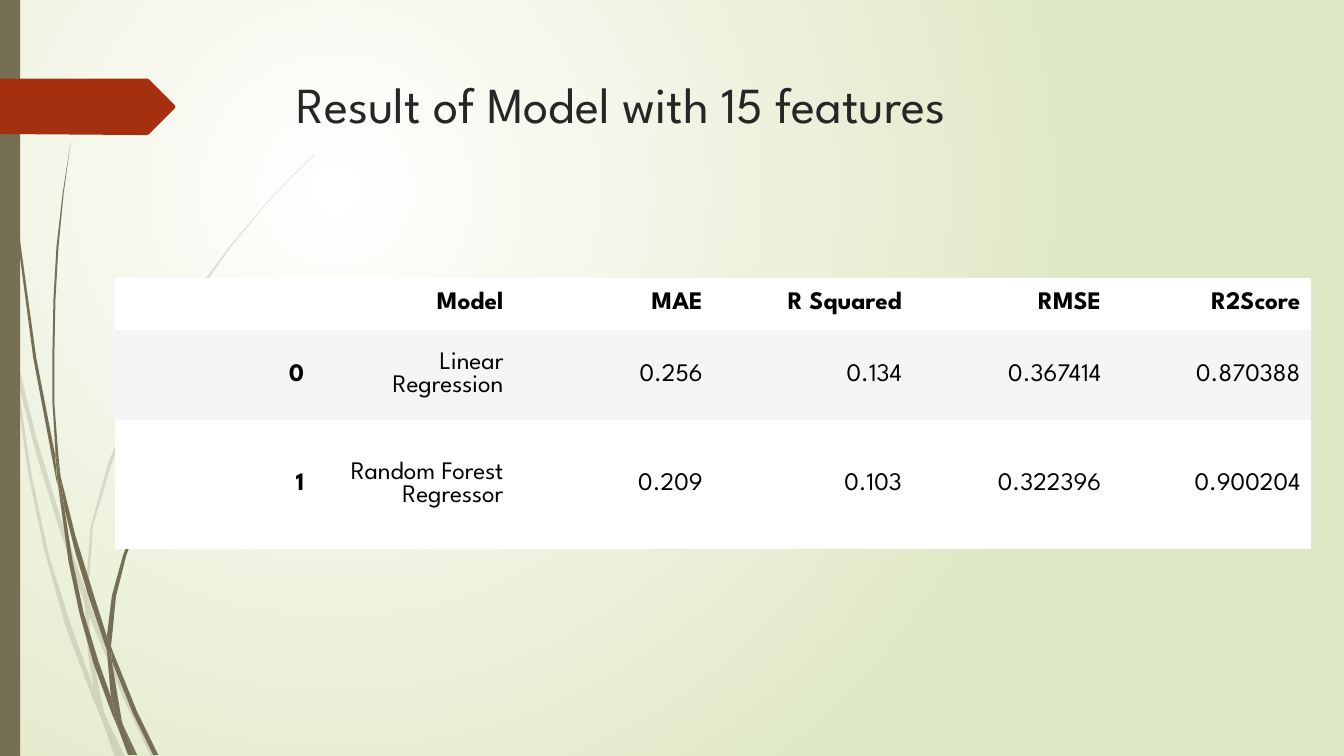
from lxml.etree import SubElement
from pptx import Presentation
from pptx.dml.color import RGBColor
from pptx.enum.shapes import MSO_SHAPE
from pptx.enum.text import MSO_ANCHOR, PP_ALIGN
from pptx.oxml.ns import qn
from pptx.util import Pt

PX = 9144  # EMU per px, 100 px to the inch
FONT = "League Spartan"
COLORS = {"olive": "766F54", "red": "A53010", "title": "262626", "text": "000000",
          "white": "FFFFFF", "band": "F5F5F5", "green": "DFE8C4"}
NO_STYLE = "{2D5ABB26-0587-4C30-8999-92F81FD0307C}"

TITLE = "Result of Model with 15 features"
TITLE_BOX = (284, 68, 975, 140)
TABLE_BOX = (114, 276, 1186, 269)
ROW_HEIGHTS = (51, 90, 128)
ROWS = [
    ("", "Model", "MAE", "R Squared", "RMSE", "R2Score"),
    ("0", "Linear Regression", "0.256", "0.134", "0.367414", "0.870388"),
    ("1", "Random Forest Regressor", "0.209", "0.103", "0.322396", "0.900204"),
]
SIDE_BAR = (0, 0, 20, 750)
ARROW = [(173, 108), (148, 133), (146, 134), (136, 134), (0, 133), (0, 78),
         (146, 78), (148, 79), (173, 104), (174, 106)]

# Outlines of the grass blades, in px
PALE_BLADES = [
    [(11, 350), (9, 322), (0, 282), (0, 299), (10, 344)],
    [(58, 522), (84, 599), (85, 586), (62, 520), (36, 434), (14, 345), (17, 376), (36, 451)],
    [(92, 607), (88, 596), (88, 610), (123, 694), (150, 751), (155, 751), (127, 692)],
    [(119, 751), (124, 751), (105, 711)],
    [(93, 683), (70, 619), (48, 549), (31, 469), (17, 376), (11, 350), (28, 470),
     (44, 546), (65, 621), (92, 693), (101, 714), (99, 707)],
    [(84, 599), (87, 646), (93, 683), (96, 692), (105, 711), (103, 706), (91, 646),
     (88, 610), (88, 608)],
    [(88, 584), (92, 523), (110, 462), (132, 404), (160, 349), (193, 296), (229, 245),
     (268, 198), (290, 175), (312, 154), (312, 153), (289, 175), (268, 197), (228, 244),
     (191, 294), (158, 348), (130, 402), (107, 461), (90, 522), (85, 584), (85, 586),
     (88, 596)],
    [(101, 714), (114, 751), (119, 751)],
    [(88, 608), (88, 610), (88, 596), (85, 586), (84, 599)],
    [(96, 692), (93, 683), (99, 707), (101, 714), (119, 751), (105, 711)],
]
DARK_BLADES = [
    [(7, 110), (17, 233), (33, 355), (56, 477), (57, 481), (55, 457), (55, 453),
     (36, 355), (19, 232), (8, 109), (5, 48), (4, 0), (3, 0), (4, 48)],
    [(88, 592), (106, 645), (106, 631), (93, 590), (75, 532), (60, 472), (64, 505), (75, 549)],
    [(113, 649), (110, 641), (111, 656), (132, 708), (152, 749), (157, 749), (136, 706)],
    [(110, 691), (98, 657), (83, 608), (72, 556), (64, 505), (57, 477), (68, 557),
     (79, 609), (93, 659), (111, 708), (117, 722), (116, 717)],
    [(60, 472), (58, 453), (54, 401), (54, 349), (55, 297), (58, 245), (63, 193),
     (70, 141), (62, 193), (56, 245), (53, 297), (52, 349), (52, 399), (55, 449)],
    [(133, 749), (136, 749), (122, 719)],
    [(57, 477), (64, 505), (60, 472), (55, 449), (55, 453)],
    [(111, 633), (115, 592), (125, 552), (139, 513), (158, 476), (180, 440), (205, 406),
     (231, 374), (245, 359), (261, 344), (260, 344), (245, 358), (231, 373), (204, 405),
     (179, 439), (156, 474), (137, 512), (122, 551), (111, 591), (106, 631), (110, 641)],
    [(117, 722), (127, 749), (131, 749)],
    [(106, 645), (110, 691), (116, 706), (122, 719), (121, 716), (111, 656), (109, 651)],
    [(106, 645), (109, 651), (111, 656), (110, 641), (106, 631)],
    [(116, 706), (110, 691), (116, 717), (117, 722), (130, 749), (133, 749), (122, 719)],
]


def rgb(name):
    return RGBColor.from_string(COLORS[name])


def emu(box):
    return [v * PX for v in box]


def paint(sp, color, alpha=None):
    sp.shadow.inherit = False
    sp.fill.solid()
    sp.fill.fore_color.rgb = rgb(color)
    sp.line.fill.background()
    if alpha:
        clr = sp.element.spPr.find(qn("a:solidFill"))[0]
        SubElement(clr, qn("a:alpha"), val=str(alpha * 1000))


def add_outline(s, points, color, alpha=None):
    fb = s.shapes.build_freeform(*points[0], scale=PX)
    fb.add_line_segments(points[1:], close=True)
    paint(fb.convert_to_shape(), color, alpha)


def write(tf, text, size, color, bold, align):
    p = tf.paragraphs[0]
    p.alignment = align
    r = p.add_run()
    r.text = text
    for name, value in {"name": FONT, "size": Pt(size), "bold": bold}.items():
        setattr(r.font, name, value)
    r.font.color.rgb = rgb(color)


def set_background(s):
    """White glow in the upper left that fades to green."""
    fill = s.background.fill
    fill.gradient()
    for stop, color, pos in zip(fill.gradient_stops, ("white", "green"), (0, 1)):
        stop.color.rgb = rgb(color)
        stop.position = pos
    grad = s.element.find(".//" + qn("a:gradFill"))
    grad.remove(grad.find(qn("a:lin")))
    glow = SubElement(grad, qn("a:path"), {"path": "circle"})
    SubElement(glow, qn("a:fillToRect"), l="50000", t="50000", r="100000", b="100000")


def add_results(s):
    table = s.shapes.add_table(len(ROWS), len(ROWS[0]), *emu(TABLE_BOX)).table
    table._tbl.tblPr.find(qn("a:tableStyleId")).text = NO_STYLE
    for i, (row, height) in enumerate(zip(ROWS, ROW_HEIGHTS)):
        table.rows[i].height = height * PX
        for j, text in enumerate(row):
            cell = table.cell(i, j)
            cell.fill.solid()
            cell.fill.fore_color.rgb = rgb("band" if i == 1 else "white")
            cell.vertical_anchor = MSO_ANCHOR.MIDDLE
            if text:
                write(cell.text_frame, text, 18, "text", i == 0 or j == 0, PP_ALIGN.RIGHT)


def main():
    prs = Presentation()
    prs.slide_width, prs.slide_height = emu((1333, 750))
    s = prs.slides.add_slide(prs.slide_layouts[5])
    set_background(s)
    for blades, alpha in ((PALE_BLADES, 20), (DARK_BLADES, None)):
        for points in blades:
            add_outline(s, points, "olive", alpha)
    paint(s.shapes.add_shape(MSO_SHAPE.RECTANGLE, *emu(SIDE_BAR)), "olive")
    add_outline(s, ARROW, "red")

    title = s.shapes.title
    s.shapes.element.append(title.element)  # bring the title in front of the grass
    title.left, title.top, title.width, title.height = emu(TITLE_BOX)
    title.text_frame.vertical_anchor = MSO_ANCHOR.TOP
    write(title.text_frame, TITLE, 36, "title", False, PP_ALIGN.LEFT)
    add_results(s)
    prs.save("out.pptx")


if __name__ == "__main__":
    main()
